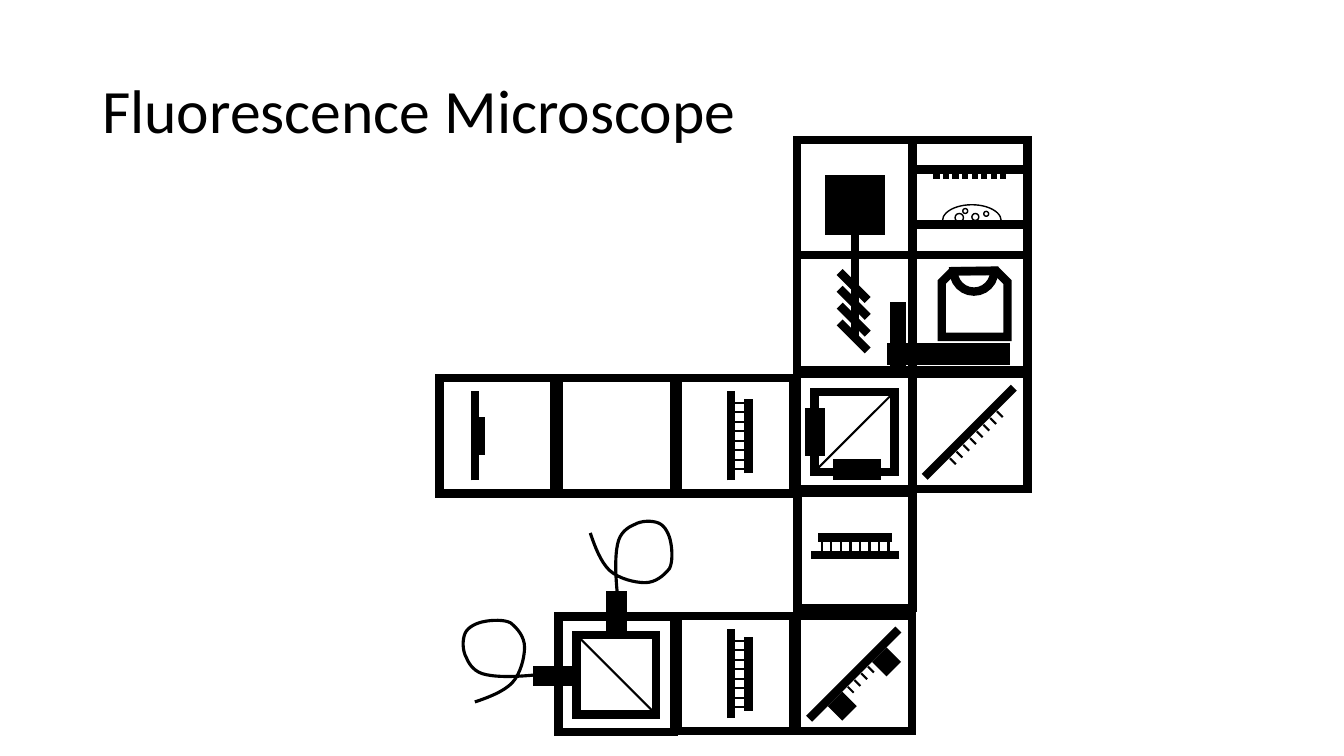
import dataclasses

import lxml.etree
import pptx
import pptx.dml.color
import pptx.enum.shapes
import pptx.enum.text
import pptx.oxml.ns
import pptx.util

Pt = pptx.util.Pt
qn = pptx.oxml.ns.qn
KIND = pptx.enum.shapes.MSO_SHAPE


@dataclasses.dataclass
class Theme:
    ink: pptx.dml.color.RGBColor = pptx.dml.color.RGBColor(0, 0, 0)
    font: str = "Calibri"
    title: float = 44
    bold: float = 6
    tooth: float = 4.5
    wire: float = 2.25
    thin: float = 1.5
    hair: float = 1


THEME = Theme()
SIDE = 82.3     # side of a cube
TEETH = 8       # teeth on every comb
GAP = 6.8       # distance between teeth

# Bezier points of the fibre, measured from its plug
FIBRE = [
    (0, 0), (-14, 1.5), (-28, 2), (-37, 0), (-45, -1.5), (-49, -7), (-51, -12),
    (-54, -17), (-54, -25), (-52, -29.5), (-50, -34), (-44, -37), (-38, -38),
    (-33, -39), (-24, -39.5), (-19.5, -37), (-14.5, -33), (-9.5, -27),
    (-9.5, -19.5), (-9.5, -13), (-12, -1), (-18.5, 6), (-24.5, 12),
    (-34.5, 16), (-45, 19.5),
]


def shape(slide, kind, x, y, wide, high, width=THEME.bold, fill=False, turn=0):
    item = slide.shapes.add_shape(kind, Pt(x), Pt(y), Pt(wide), Pt(high))
    item.shadow.inherit = False
    item.rotation = turn
    item.line.color.rgb = THEME.ink
    item.line.width = Pt(width)
    edge = item._element.spPr.find(qn("a:ln"))
    lxml.etree.SubElement(edge, qn("a:miter")).set("lim", "800000")
    if fill:
        item.fill.solid()
        item.fill.fore_color.rgb = THEME.ink
    else:
        item.fill.background()
    return item


def block(slide, x, y, wide, high, turn=0):
    """Solid rectangle."""
    shape(slide, KIND.RECTANGLE, x, y, wide, high, THEME.hair, True, turn)


def line(slide, x, y, end, low, width=THEME.bold):
    item = slide.shapes.add_connector(
        pptx.enum.shapes.MSO_CONNECTOR.STRAIGHT, Pt(x), Pt(y), Pt(end), Pt(low))
    item.line.color.rgb = THEME.ink
    item.line.width = Pt(width)
    lxml.etree.SubElement(item._element.spPr, qn("a:effectLst"))


def cube(slide, x, y):
    shape(slide, KIND.RECTANGLE, x, y, SIDE, SIDE)


def title(slide, x, y, wide, high):
    box = slide.shapes.add_textbox(Pt(x), Pt(y), Pt(wide), Pt(high))
    frame = box.text_frame
    frame.word_wrap = True
    frame.vertical_anchor = pptx.enum.text.MSO_ANCHOR.MIDDLE
    frame.text = "Fluorescence Microscope"
    para = frame.paragraphs[0]
    para.line_spacing = 0.9
    font = para.runs[0].font
    font.name = THEME.font
    font.size = Pt(THEME.title)
    font.color.rgb = THEME.ink


def drive(slide, x, y):
    """Motor, screw and carriage, in two cubes one above the other."""
    cube(slide, x, y)
    cube(slide, x, y + SIDE)
    block(slide, x + 20.5, y + 25.7, 42, 42)
    for i in range(4):
        top = y + 94.3 + 12 * i
        line(slide, x + 30.6, top, x + 50.6, top + 20)
    line(slide, x + 41.4, y + 55, x + 41.4, y + 141)
    block(slide, x + 67.2, y + 116, 10, 45)
    block(slide, x + 65.1, y + 145.5, 87, 15)


def sample(slide, x, y):
    """Lamp comb above a dish of cells."""
    cube(slide, x, y)
    line(slide, x, y + 21, x + SIDE, y + 21)
    for i in range(TEETH):
        left = x + 17.3 + GAP * i
        line(slide, left, y + 22, left, y + 28, THEME.tooth)
    line(slide, x + 83.5, y + 60.5, x + 3.6, y + 60.5)
    drop = shape(slide, KIND.ARC, x + 31, y + 36.7, 23, 42, THEME.hair, turn=270)
    drop.adjustments[0] = 162
    drop.adjustments[1] = 58.81
    for left, top, size in [(30.5, 52.5, 6), (36, 49, 3.5),
                            (42.5, 52.5, 5), (51, 51, 3.5)]:
        shape(slide, KIND.OVAL, x + left, y + top, size, size, THEME.hair)


def lens(slide, x, y):
    """Objective with its front lens."""
    cube(slide, x, y)
    shape(slide, KIND.SNIP_2_SAME_RECTANGLE, x + 21, y + 11.4, 47, 47)
    front = shape(slide, KIND.CHORD, x + 29.5, y - 3, 29, 29, turn=270)
    front.adjustments[0] = 52.86
    front.adjustments[1] = 162


def laser(slide, x, y):
    cube(slide, x, y)
    line(slide, x + 25.2, y + 73, x + 25.2, y + 9.5)
    line(slide, x + 29.6, y + 55, x + 29.6, y + 27.5)


def comb(slide, x, y, flat=False):
    """Filter made of two bars joined by teeth, upright or lying flat."""
    cube(slide, x, y)

    def bar(a, b, c, d, width=THEME.bold):
        if flat:
            a, b, c, d = b, SIDE - a, d, SIDE - c
        line(slide, x + a, y + b, x + c, y + d, width)

    bar(38, 73, 38, 9.5)
    for i in range(TEETH):
        at = 17.6 + GAP * i
        bar(38.7, at, 50.7, at, THEME.thin)
    bar(50.7, 67.8, 50.7, 14.7)


def mirror(slide, x, y, mount=False):
    cube(slide, x, y)
    line(slide, x + 8.8, y + 73.4, x + 72.5, y + 9.7)
    for i in range(TEETH):
        left, top = x + 60.4 - 4.8 * i, y + 26.6 + 4.8 * i
        line(slide, left, top, left + 4.2, top + 4.2, THEME.thin)
    if mount:
        for left, top in [(25.6, 57.5), (57.2, 25.9)]:
            block(slide, x + left, y + top, 13.7, 13.7, 315)


def split(slide, x, y, rise, side, base):
    """Beam splitter: rise tilts it, side and base place its two ports."""
    shape(slide, KIND.RECTANGLE, x + 12.7, y + 12.9, 57, 57)
    low, high = (67.5, 15) if rise else (15, 67.5)
    line(slide, x + 14.8, y + low, x + 67.4, y + high, THEME.thin)
    cube(slide, x, y)
    block(slide, x + side[0], y + side[1], *((13.7, 33) if rise else (33, 13.7)))
    block(slide, x + base[0], y + base[1], *((33, 13.7) if rise else (13.7, 33)))


def fibre(slide, x, y, turn=0):
    pen = slide.shapes.build_freeform(Pt(0), Pt(0))
    pen.add_line_segments([(Pt(a), Pt(b)) for a, b in FIBRE[1:]], close=False)
    item = pen.convert_to_shape()
    item.left, item.top, item.rotation = Pt(x), Pt(y), turn
    item.shadow.inherit = False
    item.fill.background()
    item.line.color.rgb = THEME.ink
    item.line.width = Pt(THEME.wire)
    # Every three straight segments become one cubic curve
    steps = list(item._element.iter(qn("a:lnTo")))
    trace = steps[0].getparent()
    for i in range(0, len(steps), 3):
        curve = lxml.etree.SubElement(trace, qn("a:cubicBezTo"))
        for step in steps[i:i + 3]:
            curve.append(step[0])
            trace.remove(step)


def main():
    deck = pptx.Presentation()
    deck.slide_width, deck.slide_height = Pt(960), Pt(540)
    slide = deck.slides.add_slide(deck.slide_layouts[6])
    cols = [313.9 + 85.1 * i for i in range(4)] + [651.7]
    title(slide, 66, 29, 828, 104)
    drive(slide, cols[3], 100)
    sample(slide, cols[4], 100)
    lens(slide, cols[4], 100 + SIDE)
    laser(slide, cols[0], 270.1)
    cube(slide, cols[1], 270.1)
    comb(slide, cols[2], 270.1)
    split(slide, cols[3], 267.2, True, (6.1, 25), (26.6, 61.5))
    mirror(slide, cols[4], 267.2)
    comb(slide, cols[3] + 0.3, 352.2, flat=True)
    split(slide, cols[1], 440.5, False, (-17.8, 35.6), (34.5, -18))
    fibre(slide, cols[1] - 68.8, 442.4)
    fibre(slide, cols[1] + 25.1, 369.2, turn=90)
    comb(slide, cols[2], 440)
    mirror(slide, cols[3], 440, mount=True)
    deck.save("out.pptx")


if __name__ == "__main__":
    main()
